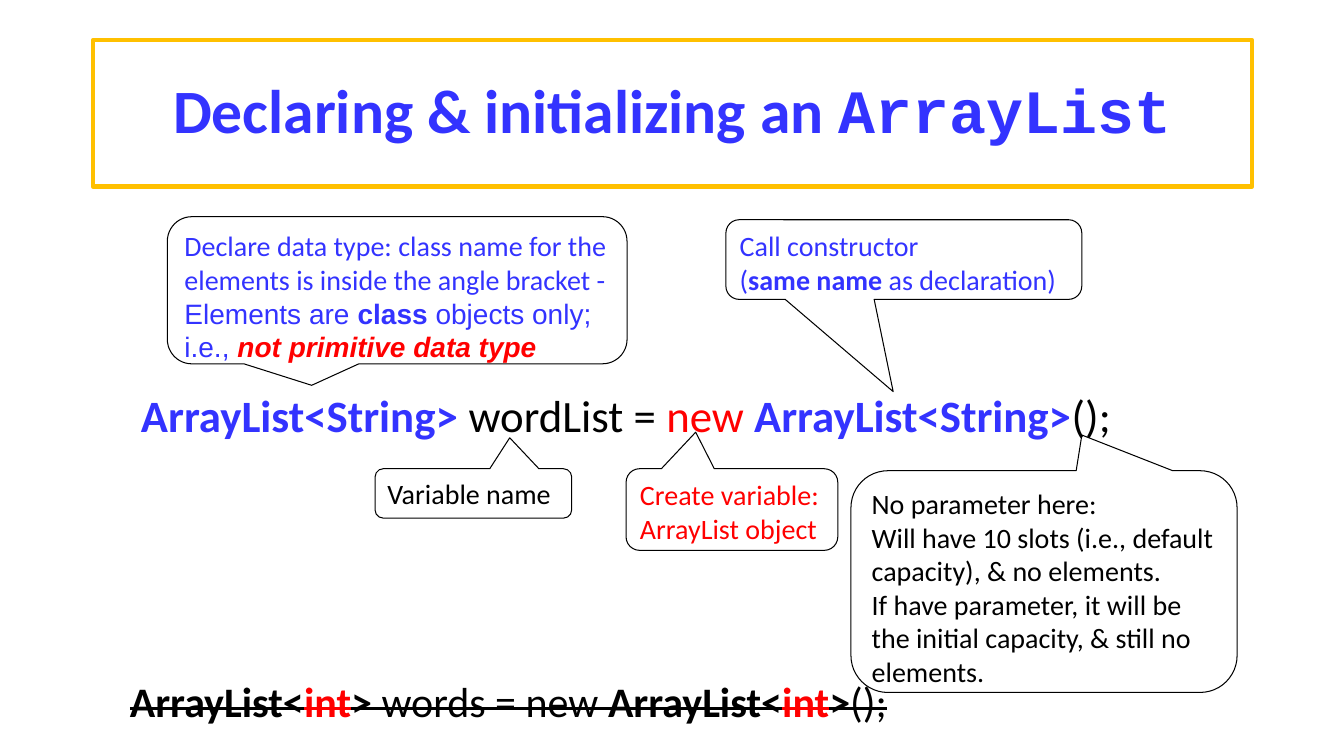
"""Build a slide that explains how an ArrayList is declared and initialized."""
from dataclasses import dataclass

from pptx import Presentation
from pptx.dml.color import RGBColor
from pptx.enum.shapes import MSO_SHAPE
from pptx.enum.text import MSO_ANCHOR, MSO_AUTO_SIZE, PP_ALIGN
from pptx.util import Inches, Pt

BLUE, RED, BLACK, GOLD = "3333FF", "FF0000", "000000", "FFC000"


@dataclass(frozen=True)
class Piece:
    text: str
    color: str = BLACK
    bold: bool = False
    slant: bool = False
    face: str = "Calibri"


@dataclass(frozen=True)
class Box:
    left: float
    top: float
    width: float
    height: float


@dataclass(frozen=True)
class Callout:
    box: Box
    tip: tuple[float, float]
    lines: list[list[Piece]]


@dataclass(frozen=True)
class Code:
    box: Box
    size: int
    pieces: list[Piece]
    struck: bool = False


TITLE = [Piece("Declaring & initializing an ", BLUE, True),
         Piece("ArrayList", BLUE, True, face="Courier New")]

CALLOUTS = [
    Callout(Box(1.66, 2.15, 4.56, 1.46), (-0.186, 0.646), [
        [Piece("Declare data type: class name for the elements is inside the angle bracket -", BLUE)],
        [Piece("Elements are ", BLUE, face="Arial"),
         Piece("class", BLUE, True, face="Arial"),
         Piece(" objects only; i.e., ", BLUE, face="Arial"),
         Piece("not primitive data type", RED, True, True, "Arial")]]),
    Callout(Box(6.21, 4.65, 2.1, 0.81), (-0.171, -0.948), [
        [Piece("Create variable:", RED)],
        [Piece("ArrayList object", RED)]]),
    Callout(Box(3.72, 4.65, 1.95, 0.49), (0.185, -1.127), [
        [Piece("Variable name")]]),
    Callout(Box(8.44, 4.67, 3.83, 2.2), (0.098, -0.661), [
        [Piece("No parameter here:")],
        [Piece("Will have 10 slots (i.e., default capacity), & no elements.")],
        [Piece("If have parameter, it will be the initial capacity, & still no elements.")]]),
    Callout(Box(7.2, 2.18, 3.53, 0.79), (-0.03, 1.658), [
        [Piece("Call constructor", BLUE)],
        [Piece("(", BLUE), Piece("same name ", BLUE, True),
         Piece("as declaration)", BLUE)]]),
]

CODES = [
    Code(Box(1.3, 3.8, 9.91, 0.64), 32, [
        Piece("ArrayList<String>", BLUE, True), Piece(" wordList = "),
        Piece("new ", RED), Piece("ArrayList<String>", BLUE, True),
        Piece("();")]),
    Code(Box(1.19, 6.65, 7.78, 0.61), 30, [
        Piece("ArrayList<", bold=True), Piece("int", RED, True),
        Piece(">", bold=True), Piece(" words = new "),
        Piece("ArrayList<", bold=True), Piece("int", RED, True),
        Piece(">", bold=True), Piece("();")], struck=True),
]


def paint(code: str) -> RGBColor:
    return RGBColor.from_string(code)


def place(box: Box) -> list[int]:
    return [Inches(n) for n in (box.left, box.top, box.width, box.height)]


def write(frame, lines: list[list[Piece]], size: int,
          align=PP_ALIGN.LEFT, struck: bool = False) -> None:
    for index, pieces in enumerate(lines):
        para = frame.add_paragraph() if index else frame.paragraphs[0]
        para.alignment = align
        for piece in pieces:
            run = para.add_run()
            run.text = piece.text
            font = run.font
            font.name, font.size = piece.face, Pt(size)
            font.bold, font.italic = piece.bold, piece.slant
            font.color.rgb = paint(piece.color)
            if struck:
                run._r.get_or_add_rPr().set("strike", "sngStrike")


def outline(slide, kind, box: Box, color: str, weight: float):
    shape = slide.shapes.add_shape(kind, *place(box))
    shape.shadow.inherit = False
    shape.fill.background()
    shape.line.color.rgb = paint(color)
    shape.line.width = Pt(weight)
    shape.text_frame.word_wrap = True
    return shape


def draw_title(slide) -> None:
    shape = outline(slide, MSO_SHAPE.RECTANGLE, Box(0.92, 0.4, 11.5, 1.45), GOLD, 3)
    frame = shape.text_frame
    frame.vertical_anchor = MSO_ANCHOR.MIDDLE
    write(frame, [TITLE], 44, PP_ALIGN.CENTER)
    frame.paragraphs[0].line_spacing = 0.9


def draw_callout(slide, item: Callout) -> None:
    shape = outline(slide, MSO_SHAPE.ROUNDED_RECTANGULAR_CALLOUT, item.box, BLACK, 0.75)
    shape.adjustments[0], shape.adjustments[1] = item.tip
    shape.text_frame.vertical_anchor = MSO_ANCHOR.TOP
    write(shape.text_frame, item.lines, 20)


def draw_code(slide, item: Code) -> None:
    frame = slide.shapes.add_textbox(*place(item.box)).text_frame
    frame.word_wrap = False
    frame.auto_size = MSO_AUTO_SIZE.SHAPE_TO_FIT_TEXT
    write(frame, [item.pieces], item.size, struck=item.struck)


def main() -> None:
    deck = Presentation()
    deck.slide_width, deck.slide_height = Inches(13.33), Inches(7.5)
    slide = deck.slides.add_slide(deck.slide_layouts[6])
    draw_title(slide)
    for item in CALLOUTS:
        draw_callout(slide, item)
    for item in CODES:
        draw_code(slide, item)
    deck.save("out.pptx")


if __name__ == "__main__":
    main()
